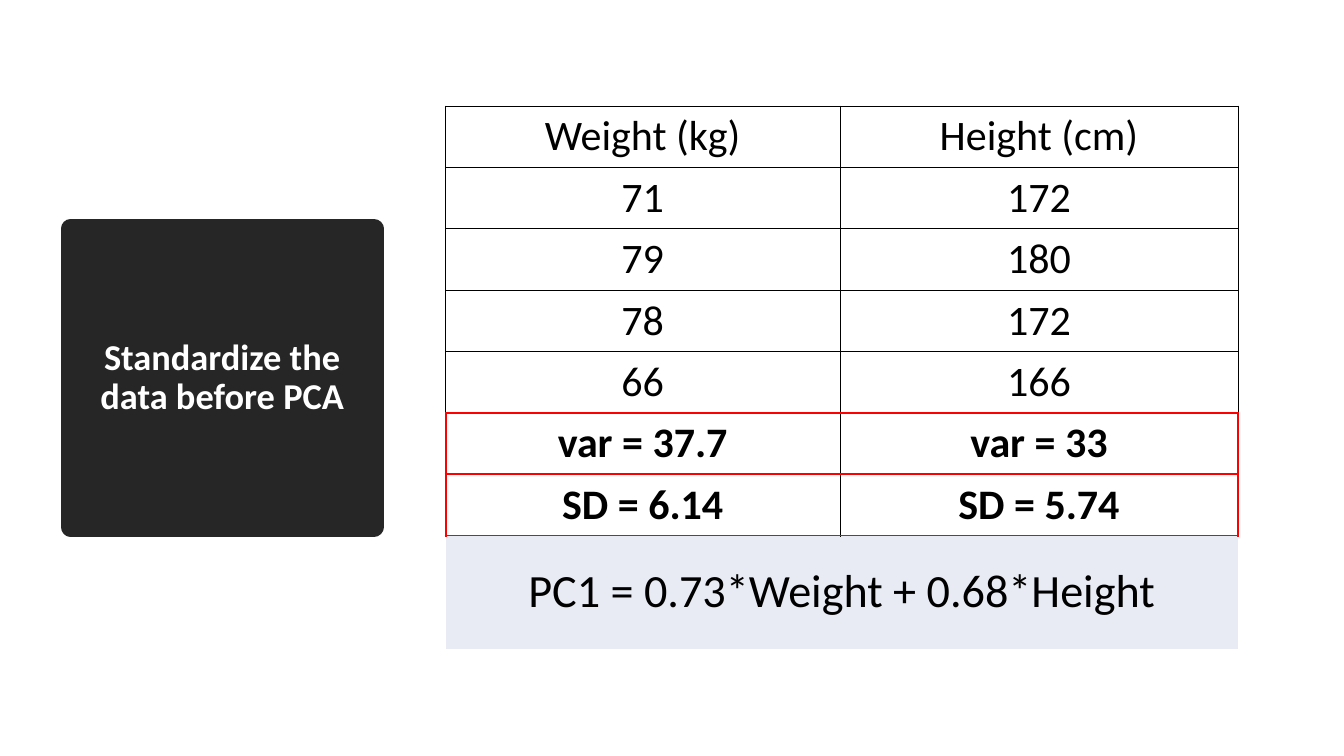
from lxml.etree import SubElement
from pptx import Presentation
from pptx.dml.color import RGBColor
from pptx.enum.shapes import MSO_SHAPE
from pptx.enum.text import MSO_ANCHOR, PP_ALIGN
from pptx.oxml.ns import qn
from pptx.util import Inches, Pt

TITLE = "Standardize the data before PCA"
MEASUREMENTS = [
    ("Weight (kg)", "Height (cm)"),
    ("71", "172"),
    ("79", "180"),
    ("78", "172"),
    ("66", "166"),
]
STATISTICS = [
    ("var = 37.7", "var = 33"),
    ("SD = 6.14", "SD = 5.74"),
]
FORMULA = "PC1 = 0.73*Weight + 0.68*Height"

FONT = "Calibri"
BLACK = RGBColor(0x00, 0x00, 0x00)
WHITE = RGBColor(0xFF, 0xFF, 0xFF)
RED = RGBColor(0xFF, 0x00, 0x00)
CHARCOAL = RGBColor(0x26, 0x26, 0x26)
PALE_BLUE = RGBColor(0xE8, 0xEB, 0xF4)

THIN = (BLACK, 0.5)
HIGHLIGHT = (RED, 1.47)
PALE = (WHITE, 0.96)

TABLE_LEFT = 4.42
COLUMN_WIDTHS = [3.91, 3.95]


def write(frame, text, size, color=BLACK, bold=False, line_spacing=None):
    paragraph = frame.paragraphs[0]
    paragraph.alignment = PP_ALIGN.CENTER
    paragraph.line_spacing = line_spacing
    run = paragraph.add_run()
    run.text = text
    run.font.name = FONT
    run.font.size = Pt(size)
    run.font.bold = bold
    run.font.color.rgb = color


def set_borders(cell, left, right, top, bottom):
    """Draw the four cell edges, each given as (colour, points)."""
    properties = cell._tc.get_or_add_tcPr()
    for side, (color, width) in zip("LRTB", (left, right, top, bottom)):
        edge = SubElement(properties, qn(f"a:ln{side}"), w=str(Pt(width)))
        fill = SubElement(edge, qn("a:solidFill"))
        SubElement(fill, qn("a:srgbClr"), val=str(color))


def add_plain_table(slide, top, row_count, row_height, widths):
    table = slide.shapes.add_table(
        row_count, len(widths), Inches(TABLE_LEFT), Inches(top),
        Inches(sum(widths)), Inches(row_height * row_count)).table
    table.first_row = False
    table.horz_banding = False
    for column, width in zip(table.columns, widths):
        column.width = Inches(width)
    return table


def format_cell(cell, anchor, side_margin):
    cell.vertical_anchor = anchor
    cell.margin_left = cell.margin_right = Inches(side_margin)
    cell.margin_top = cell.margin_bottom = Inches(0.05)


def add_formula(slide):
    cell = add_plain_table(slide, 5.3, 1, 1.14, [sum(COLUMN_WIDTHS)]).cell(0, 0)
    format_cell(cell, MSO_ANCHOR.MIDDLE, 0.01)
    set_borders(cell, PALE, PALE, PALE, PALE)
    cell.fill.solid()
    cell.fill.fore_color.rgb = PALE_BLUE
    write(cell.text_frame, FORMULA, 33)


def add_title(slide):
    box = slide.shapes.add_shape(
        MSO_SHAPE.RECTANGLE, Inches(0.7), Inches(2.27), Inches(3.01), Inches(2.96))
    box.shadow.inherit = False
    box.fill.solid()
    box.fill.fore_color.rgb = CHARCOAL
    box.line.color.rgb = CHARCOAL
    box.line.width = Pt(13.75)
    SubElement(box.line._ln, qn("a:round"))
    box.text_frame.word_wrap = True
    box.text_frame.vertical_anchor = MSO_ANCHOR.MIDDLE
    write(box.text_frame, TITLE, 26, color=WHITE, bold=True, line_spacing=0.9)


def add_measurements(slide):
    rows = MEASUREMENTS + STATISTICS
    first_statistic = len(MEASUREMENTS)
    last_column = len(COLUMN_WIDTHS) - 1
    table = add_plain_table(slide, 1.05, len(rows), 0.6, COLUMN_WIDTHS)
    for r, row in enumerate(rows):
        is_statistic = r >= first_statistic
        outer = HIGHLIGHT if is_statistic else THIN
        bottom = HIGHLIGHT if r + 1 >= first_statistic else THIN
        for c, text in enumerate(row):
            cell = table.cell(r, c)
            format_cell(cell, MSO_ANCHOR.BOTTOM, 0.02)
            set_borders(cell,
                        left=outer if c == 0 else THIN,
                        right=outer if c == last_column else THIN,
                        top=outer, bottom=bottom)
            cell.fill.background()
            write(cell.text_frame, text, 30, bold=is_statistic)


def main():
    presentation = Presentation()
    presentation.slide_width = Inches(13.33)
    presentation.slide_height = Inches(7.5)
    slide = presentation.slides.add_slide(presentation.slide_layouts[6])
    add_formula(slide)
    add_title(slide)
    add_measurements(slide)
    presentation.save("out.pptx")


if __name__ == "__main__":
    main()
